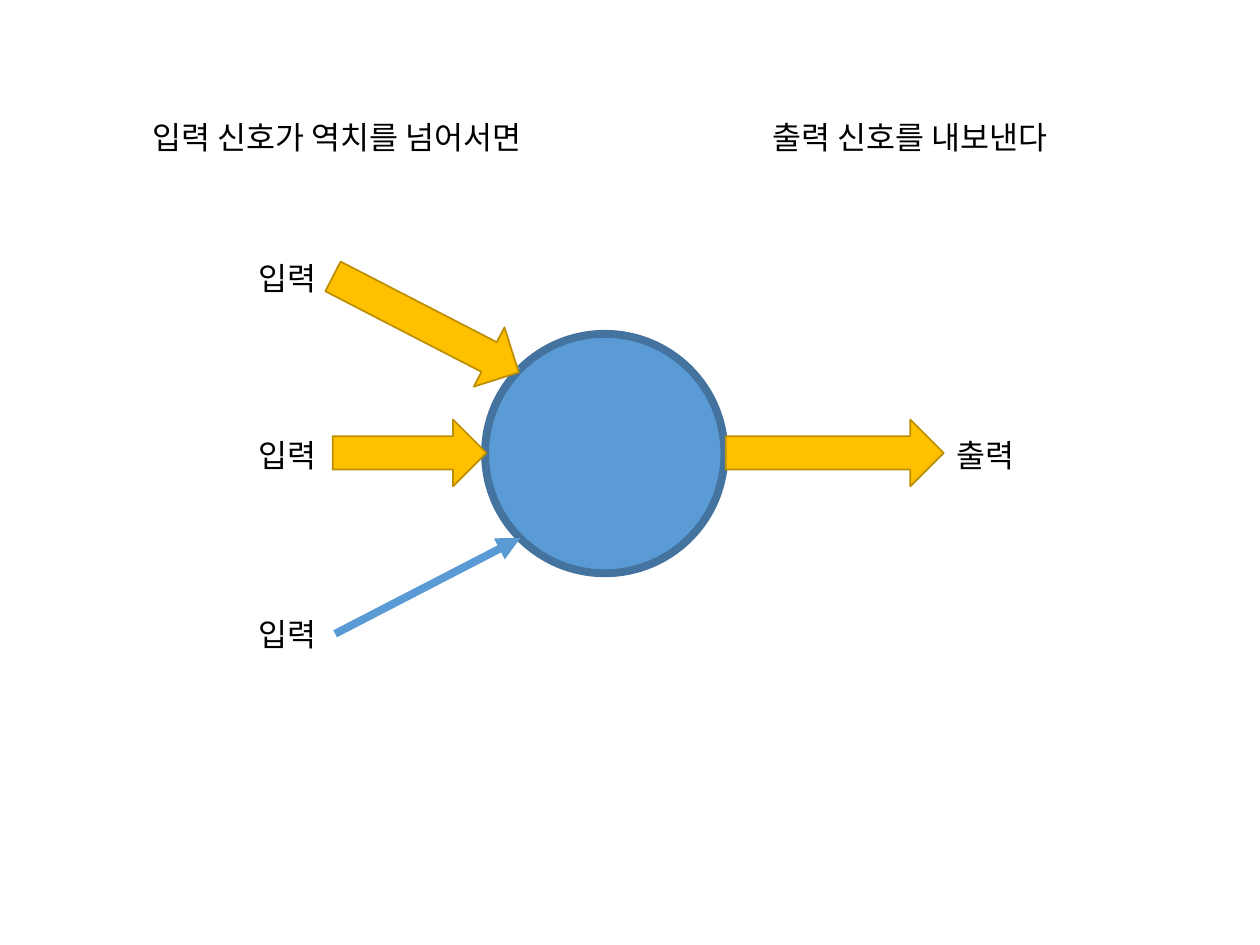
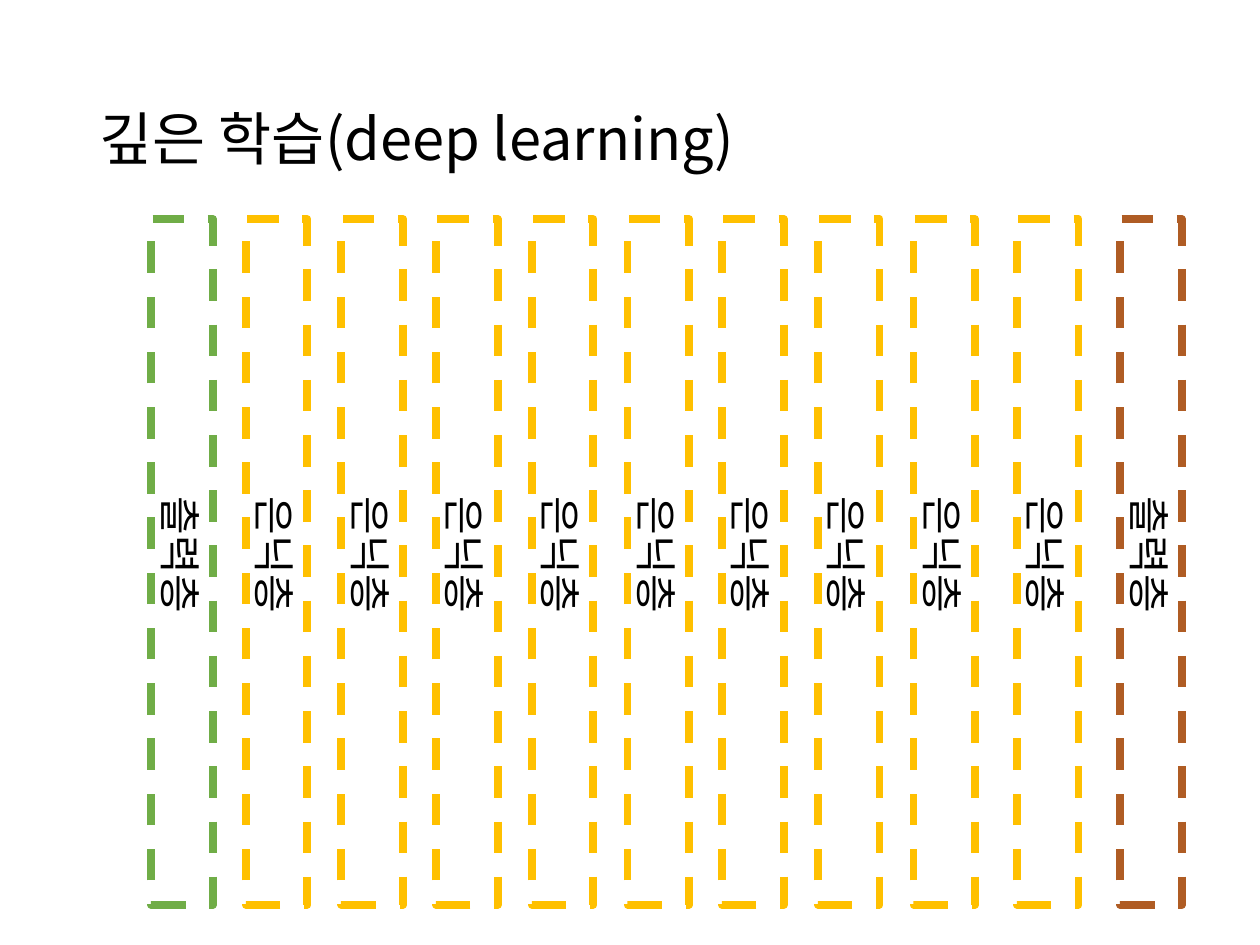
from lxml import etree
from pptx import Presentation
from pptx import util as u
from pptx.dml.color import RGBColor
from pptx.enum import dml, shapes, text
from pptx.oxml import ns

PX = 9144
FONT = "Noto Sans CJK KR"
COLORS = {
    "text": "000000",
    "blue": "5B9BD5",
    "blue_edge": "43739E",
    "gold": "FFC000",
    "gold_edge": "BD8E00",
    "green": "70AD47",
    "brown": "AF5C24",
}

CAPTIONS = [
    ("입력 신호가 역치를 넘어서면", (111, 89, 350, 40)),
    ("출력 신호를 내보낸다", (603, 89, 265, 40)),
]
NEURON = (385, 265, 190, 190)
INPUT_LABEL, OUTPUT_LABEL = "입력", "출력"
INPUTS = [(201, (413, 293)), (341, (385, 360)), (483, (413, 427))]
OUTPUT_START = (576, 361)
SIGNALS = [
    ((255, 231, 166, 53), 27.3),
    ((264, 333, 122, 53), 0),
    ((576, 333, 173, 53), 0),
]

DEEP_TITLE = "깊은 학습(deep learning)"
TITLE_BOX = (69, 40, 862, 145)
LAYERS = [("츨력층", "green")] + [("은닉층", "gold")] * 9 + [("츨력층", "brown")]
FIRST_LEFT, EVEN_SPAN, EVEN_STEPS, WIDE_STEP = 120, 605, 8, 82
LAYER_TOP, LAYER_WIDTH, LAYER_HEIGHT = 174, 49, 544
LABEL_INSET, LABEL_TOP, LABEL_WIDTH, LABEL_HEIGHT = -37, 420, 121, 50


def emu(*lengths):
    return [u.Emu(length * PX) for length in lengths]


def rgb(name):
    return RGBColor.from_string(COLORS[name])


def write(shape, words, size):
    paragraph = shape.text_frame.paragraphs[0]
    paragraph.alignment = text.PP_ALIGN.LEFT
    run = paragraph.add_run()
    run.text = words
    run.font.name = FONT
    run.font.size = u.Pt(size)
    run.font.color.rgb = rgb("text")
    east_asian = etree.SubElement(run.font._element, ns.qn("a:ea"))
    east_asian.set("typeface", FONT)
    return paragraph


def add_label(slide, words, box, size=18, rotation=0):
    label = slide.shapes.add_textbox(*emu(*box))
    label.rotation = rotation
    label.text_frame.word_wrap = False
    label.text_frame.auto_size = text.MSO_AUTO_SIZE.SHAPE_TO_FIT_TEXT
    write(label, words, size)
    return label


def add_shape(slide, kind, box, fill, line, width, rotation=0):
    shape = slide.shapes.add_shape(kind, *emu(*box))
    shape.shadow.inherit = False
    shape.rotation = rotation
    if fill:
        shape.fill.solid()
        shape.fill.fore_color.rgb = rgb(fill)
    else:
        shape.fill.background()
    shape.line.color.rgb = rgb(line)
    shape.line.width = u.Pt(width)
    return shape


def add_arrow(slide, start, end):
    arrow = slide.shapes.add_connector(shapes.MSO_CONNECTOR.STRAIGHT, *emu(*start, *end))
    arrow.line.color.rgb = rgb("blue")
    arrow.line.width = u.Pt(4.5)
    properties = arrow._element.spPr
    head = etree.SubElement(properties.find(ns.qn("a:ln")), ns.qn("a:tailEnd"))
    head.set("type", "triangle")
    etree.SubElement(properties, ns.qn("a:effectLst"))
    return arrow


def build_neuron(presentation):
    slide = presentation.slides.add_slide(presentation.slide_layouts[6])
    add_shape(slide, shapes.MSO_SHAPE.OVAL, NEURON, "blue", "blue_edge", 4.5)
    for top, target in INPUTS:
        label = add_label(slide, INPUT_LABEL, (195, top, 71, 40))
        add_arrow(slide, (266, top + 20), target).begin_connect(label, 3)
    label = add_label(slide, OUTPUT_LABEL, (749, 341, 71, 40))
    add_arrow(slide, OUTPUT_START, (749, 361)).end_connect(label, 1)
    for box, rotation in SIGNALS:
        add_shape(slide, shapes.MSO_SHAPE.RIGHT_ARROW, box, "gold", "gold_edge", 1, rotation)
    for words, box in CAPTIONS:
        add_label(slide, words, box)


def layer_left(index):
    even = min(index, EVEN_STEPS)
    return FIRST_LEFT + EVEN_SPAN * even // EVEN_STEPS + WIDE_STEP * (index - even)


def build_deep_learning(presentation):
    slide = presentation.slides.add_slide(presentation.slide_layouts[5])
    title = slide.shapes.title
    title.left, title.top, title.width, title.height = emu(*TITLE_BOX)
    title.text_frame.auto_size = text.MSO_AUTO_SIZE.NONE
    title.text_frame.vertical_anchor = text.MSO_ANCHOR.MIDDLE
    write(title, DEEP_TITLE, 33).line_spacing = 0.9
    for index, (words, color) in enumerate(LAYERS):
        left = layer_left(index)
        box = (left, LAYER_TOP, LAYER_WIDTH, LAYER_HEIGHT)
        layer = add_shape(slide, shapes.MSO_SHAPE.RECTANGLE, box, None, color, 4.5)
        layer.line.dash_style = dml.MSO_LINE.DASH
        label_box = (left + LABEL_INSET, LABEL_TOP, LABEL_WIDTH, LABEL_HEIGHT)
        add_label(slide, words, label_box, 24, 90)


def main():
    presentation = Presentation()
    presentation.slide_width, presentation.slide_height = emu(1000, 750)
    build_neuron(presentation)
    build_deep_learning(presentation)
    presentation.save("out.pptx")


if __name__ == "__main__":
    main()
